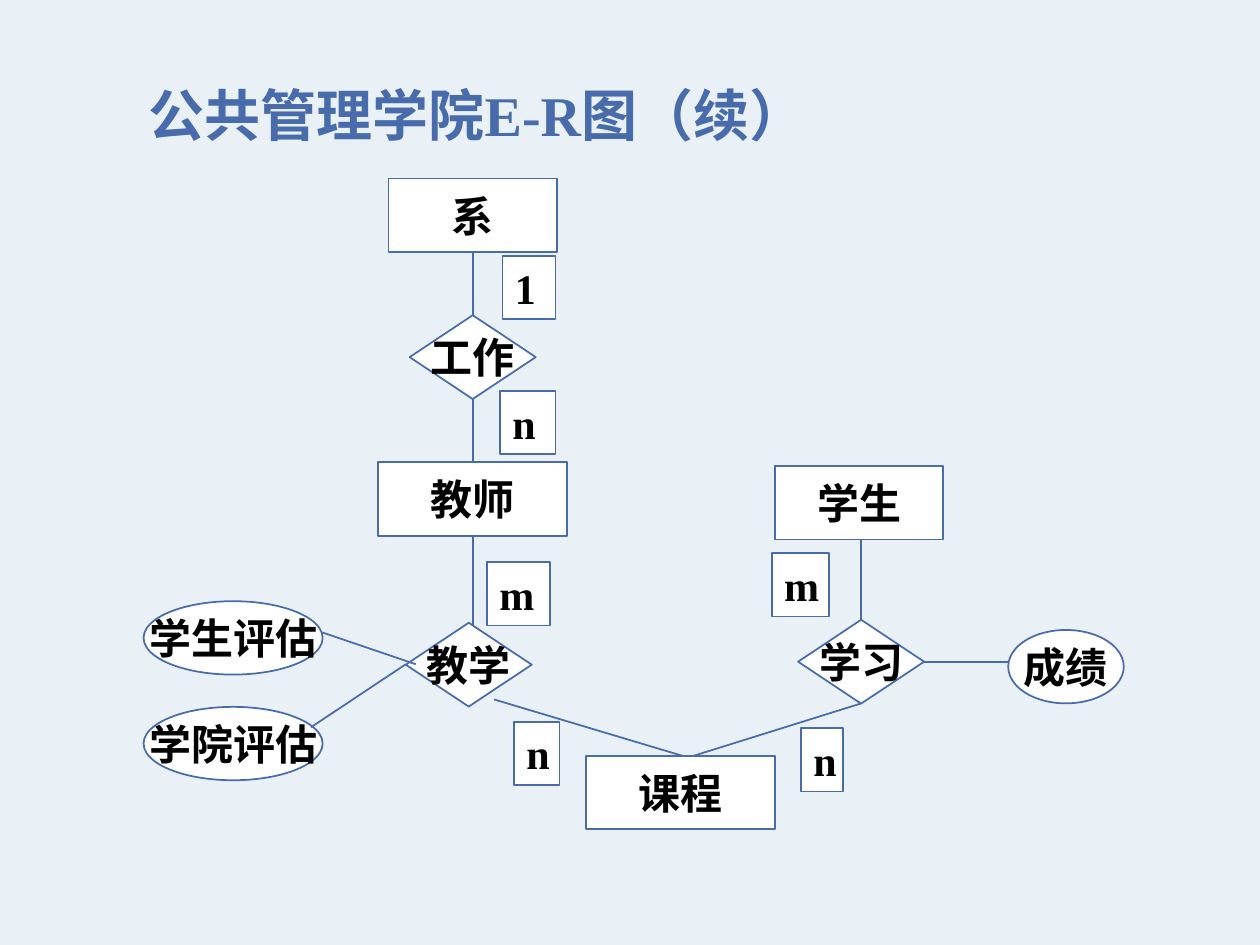
from lxml.etree import SubElement
from pptx import Presentation
from pptx.dml.color import RGBColor
from pptx.enum.shapes import MSO_CONNECTOR as Connector, MSO_SHAPE as Shape
from pptx.enum.text import MSO_ANCHOR as Anchor, PP_ALIGN as Align
from pptx.oxml.ns import qn
from pptx.util import Cm, Pt

BACKGROUND = RGBColor(0xEA, 0xF1, 0xF6)
BLUE = RGBColor(0x47, 0x6B, 0xAB)
WHITE = RGBColor(0xFF, 0xFF, 0xFF)
BLACK = RGBColor(0x00, 0x00, 0x00)

SMALL_ENTITY = (Shape.RECTANGLE, 3.39, 1.48)
LARGE_ENTITY = (Shape.RECTANGLE, 3.81, 1.48)
RELATION = (Shape.FLOWCHART_DECISION, 2.54, 1.69)
SMALL_ATTRIBUTE = (Shape.OVAL, 2.33, 1.48)
LARGE_ATTRIBUTE = (Shape.OVAL, 3.61, 1.48)
LABEL_HEIGHT = 1.28
STAFF_X, STUDENT_X = 9.53, 17.36

# Text, kind, centre x, centre y
NODES = [
    ("系", SMALL_ENTITY, STAFF_X, 4.34),
    ("工作", RELATION, STAFF_X, 7.2),
    ("教师", LARGE_ENTITY, STAFF_X, 10.06),
    ("教学", RELATION, 9.45, 13.4),
    ("课程", LARGE_ENTITY, 13.72, 15.98),
    ("学生", SMALL_ENTITY, 17.32, 10.14),
    ("学习", RELATION, STUDENT_X, 13.34),
    ("成绩", SMALL_ATTRIBUTE, 21.49, 13.44),
    ("学生评估", LARGE_ATTRIBUTE, 4.7, 12.86),
    ("学院评估", LARGE_ATTRIBUTE, 4.7, 14.99),
]
# Start x, start y, end x, end y
LINKS = [
    (STAFF_X, 5.08, STAFF_X, 6.35),
    (STAFF_X, 8.04, STAFF_X, 9.31),
    (STAFF_X, 10.8, STAFF_X, 12.62),
    (STUDENT_X, 10.88, STUDENT_X, 12.49),
    (STUDENT_X, 14.18, 13.97, 15.24),
    (9.96, 14.1, 13.77, 15.24),
    (6.5, 12.75, 8.38, 13.39),
    (6.27, 14.66, 8.18, 13.39),
    (18.62, 13.34, 20.32, 13.34),
]
# Text, left, top, width
CARDINALITIES = [
    ("1", 10.13, 5.16, 1.07),
    ("n", 10.08, 7.88, 1.12),
    ("m", 9.82, 11.33, 1.27),
    ("n", 10.36, 14.55, 0.92),
    ("m", 15.56, 11.15, 1.16),
    ("n", 16.15, 14.68, 0.85),
]


class Diagram:
    font_format = {"name": "Times New Roman", "bold": True}

    def __init__(self, slide):
        self.slide = slide
        fill = slide.background.fill
        fill.solid()
        fill.fore_color.rgb = BACKGROUND

    def set_text(self, shape, text, size, color, align, **frame_format):
        frame = shape.text_frame
        for name, value in frame_format.items():
            setattr(frame, name, value)
        paragraph = frame.paragraphs[0]
        paragraph.text = text
        paragraph.alignment = align
        for name, value in {**self.font_format, "size": Pt(size)}.items():
            setattr(paragraph.font, name, value)
        paragraph.font.color.rgb = color

    def outline(self, item):
        item.line.color.rgb = BLUE
        item.line.width = Pt(1)

    def box(self, kind, *bounds):
        shape = self.slide.shapes.add_shape(kind, *map(Cm, bounds))
        shape.shadow.inherit = False
        shape.fill.solid()
        shape.fill.fore_color.rgb = WHITE
        self.outline(shape)
        return shape

    def title(self, text, *bounds):
        shape = self.slide.shapes.add_textbox(*map(Cm, bounds))
        self.set_text(shape, text, 32, BLUE, Align.LEFT,
                      word_wrap=True, vertical_anchor=Anchor.BOTTOM)

    def node(self, text, style, x, y):
        """Draw an entity, relation or attribute around its centre."""
        kind, width, height = style
        shape = self.box(kind, x - width / 2, y - height / 2, width, height)
        self.set_text(shape, text, 24, BLACK, Align.CENTER,
                      word_wrap=False, vertical_anchor=Anchor.MIDDLE)

    def cardinality(self, text, left, top, width):
        shape = self.box(Shape.RECTANGLE, left, top, width, LABEL_HEIGHT)
        self.set_text(shape, text, 24, BLACK, Align.LEFT,
                      word_wrap=True, vertical_anchor=Anchor.TOP)

    def link(self, *ends):
        connector = self.slide.shapes.add_connector(
            Connector.STRAIGHT, *map(Cm, ends))
        self.outline(connector)
        SubElement(connector._element.spPr, qn("a:effectLst"))


def main():
    presentation = Presentation()
    presentation.slide_width = Cm(25.4)
    presentation.slide_height = Cm(19.05)
    diagram = Diagram(presentation.slides.add_slide(presentation.slide_layouts[6]))
    diagram.title("公共管理学院E-R图（续）", 2.74, 1.47, 16.54, 1.63)
    for node in NODES:
        diagram.node(*node)
    for link in LINKS:
        diagram.link(*link)
    for cardinality in CARDINALITIES:
        diagram.cardinality(*cardinality)
    presentation.save("out.pptx")


if __name__ == "__main__":
    main()
